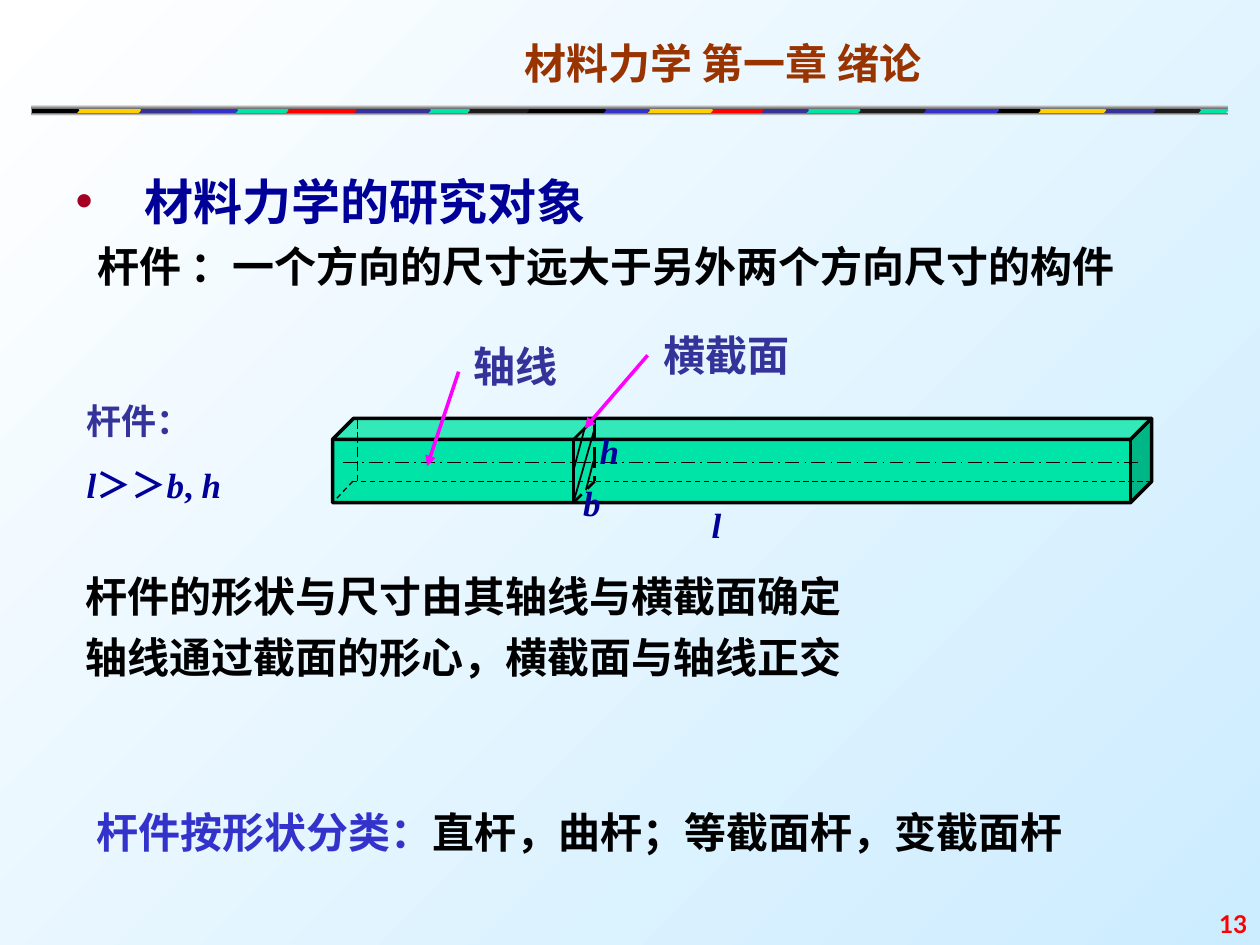
from lxml import etree
from pptx import Presentation
from pptx.dml.color import RGBColor
from pptx.enum.dml import MSO_LINE_DASH_STYLE as DASH
from pptx.enum.shapes import MSO_CONNECTOR, MSO_SHAPE
from pptx.enum.text import MSO_ANCHOR, MSO_AUTO_SIZE, PP_ALIGN
from pptx.oxml.ns import qn
from pptx.util import Inches, Pt

rgb = RGBColor.from_string
SANS, SERIF, LATO = "Noto Sans CJK SC", "Times New Roman", "Lato"
NAVY, INDIGO, BLUE, BLACK = "000099", "333399", "3333CC", "000000"
GREEN, YELLOW, RED, CHARCOAL = "00E4A8", "FFCF01", "FF0000", "1C1C1C"
MAGENTA = "FF00FF"


def write(shape, box, paragraphs, size, font, before=0, align=PP_ALIGN.LEFT,
          anchor=MSO_ANCHOR.TOP, wrap=True):
    """Place a text shape; a paragraph is a list of (text, colour, italic)."""
    shape.left, shape.top, shape.width, shape.height = map(Inches, box)
    frame = shape.text_frame
    frame.word_wrap = wrap
    frame.auto_size = MSO_AUTO_SIZE.NONE
    frame.vertical_anchor = anchor
    for index, runs in enumerate(paragraphs):
        paragraph = frame.add_paragraph() if index else frame.paragraphs[0]
        paragraph.alignment = align
        paragraph.line_spacing = 1.0
        paragraph.space_before = Pt(before if index else 0)
        for text, colour, italic in runs:
            run = paragraph.add_run()
            run.text = text
            run.font.size, run.font.name = Pt(size), font
            run.font.bold, run.font.italic = True, italic
            run.font.color.rgb = rgb(colour)
            east_asian = etree.SubElement(run.font._element, qn("a:ea"))
            east_asian.set("typeface", SANS)
    return frame


def draw_line(start, end, width, colour=BLACK, dash=None, arrow=False):
    line = slide.shapes.add_connector(
        MSO_CONNECTOR.STRAIGHT, *map(Inches, start + end))
    line.line.width = Pt(width)
    line.line.color.rgb = rgb(colour)
    if dash:
        line.line.dash_style = dash
    if arrow:
        tail = etree.SubElement(line.line._get_or_add_ln(), qn("a:tailEnd"))
        tail.set("type", "triangle")
    etree.SubElement(line._element.spPr, qn("a:effectLst"))


presentation = Presentation()
presentation.slide_width, presentation.slide_height = Inches(10), Inches(7.5)
slide = presentation.slides.add_slide(presentation.slide_layouts[1])

# Background
background = slide.background.fill
background.gradient()
background.gradient_angle = 315
for stop, colour in zip(background.gradient_stops, ("FFFFFF", "CCECFF")):
    stop.color.rgb = rgb(colour)

# Coloured band: right end and colour of each segment
segments = [
    (0.63, BLACK), (1.12, YELLOW), (1.53, INDIGO), (1.89, BLUE),
    (2.29, GREEN), (2.83, RED), (3.42, INDIGO), (3.73, GREEN),
    (4.2, CHARCOAL), (4.81, BLACK), (5.16, BLUE), (5.66, YELLOW),
    (6.06, RED), (6.42, INDIGO), (6.83, GREEN), (7.35, CHARCOAL),
    (7.93, BLUE), (8.26, BLACK), (8.78, YELLOW), (9.17, INDIGO),
    (9.53, CHARCOAL), (9.75, GREEN),
]
starts = [0.25] + [end for end, _ in segments[:-1]]
top, bottom, bulge = 0.84, 0.91, 0.03
for left, (right, colour) in reversed(list(zip(starts, segments))):
    left = max(0.25, left - bulge)
    builder = slide.shapes.build_freeform(Inches(left), Inches(top))
    corners = [(right - bulge, top), (right, (top + bottom) / 2),
               (right - bulge, bottom), (left, bottom)]
    builder.add_line_segments([(Inches(x), Inches(y)) for x, y in corners])
    segment = builder.convert_to_shape()
    segment.shadow.inherit = False
    segment.fill.solid()
    segment.fill.fore_color.rgb = rgb(colour)
    segment.line.fill.background()

# Shaded edges of the band
for y, height, colours in ((0.83, 0.03, ("FFFFFF", "767676")),
                           (0.9, 0.02, ("767676", "FFFFFF"))):
    edge = slide.shapes.add_shape(
        MSO_SHAPE.RECTANGLE, Inches(0.25), Inches(y), Inches(9.5), Inches(height))
    edge.shadow.inherit = False
    edge.line.fill.background()
    edge.fill.gradient()
    edge.fill.gradient_angle = 270
    for stop, colour in zip(edge.fill.gradient_stops, colours):
        stop.color.rgb = rgb(colour)

# Title
write(slide.shapes.title, (4.06, 0.25, 3.86, 0.5),
      [[("材料力学 第一章 绪论", "993300", False)]], 24, SANS, wrap=False)

# Topic and definition
body = write(slide.placeholders[1], (0.5, 1.31, 8.98, 1.18),
             [[("材料力学的研究对象", NAVY, False)],
              [("杆件 ：一个方向的尺寸远大于另外两个方向尺寸的构件", BLACK, False)]],
             24, SANS, before=6)
topic, definition = body.paragraphs
topic.runs[0].font.size = Pt(28)
for paragraph, margin, indent in ((topic, 0.55, -0.55), (definition, 0.17, 0)):
    properties = paragraph._p.get_or_add_pPr()
    properties.set("marL", str(Inches(margin)))
    properties.set("indent", str(Inches(indent)))
bullet_colour = etree.SubElement(topic._p.pPr, qn("a:buClr"))
etree.SubElement(bullet_colour, qn("a:srgbClr")).set("val", "A50021")
etree.SubElement(topic._p.pPr, qn("a:buChar")).set("char", "•")
etree.SubElement(definition._p.pPr, qn("a:buNone"))

# Bar
bar = slide.shapes.add_shape(
    MSO_SHAPE.CUBE, Inches(2.64), Inches(3.32), Inches(6.5), Inches(0.67))
bar.adjustments[0] = 0.25
bar.shadow.inherit = False
bar.fill.solid()
bar.fill.fore_color.rgb = rgb(GREEN)
bar.line.color.rgb = rgb(BLACK)
bar.line.width = Pt(2)

# Hidden edges, cross-section with hatching, and axis
for start, end, width, dash in (
    ((4.72, 3.32), (4.72, 3.82), 1.5, DASH.LONG_DASH),
    ((9.14, 3.82), (2.8, 3.82), 0.75, DASH.DASH),
    ((4.72, 3.82), (4.55, 3.99), 1.5, DASH.DASH),
    ((2.84, 3.32), (2.84, 3.82), 0.75, DASH.LONG_DASH),
    ((2.8, 3.82), (2.64, 3.99), 0.75, DASH.DASH),
    ((4.72, 3.32), (4.55, 3.49), 1.5, None),
    ((4.55, 3.49), (4.55, 3.99), 1.5, None),
    ((2.72, 3.67), (9.05, 3.67), 1, DASH.LONG_DASH_DOT),
    ((4.64, 3.4), (4.55, 3.74), 1, None),
    ((4.72, 3.4), (4.55, 3.99), 1, None),
    ((4.71, 3.66), (4.65, 3.89), 1, None),
):
    draw_line(start, end, width, dash=dash)

# Pointers to the axis and the cross-section
draw_line((3.64, 2.95), (3.39, 3.7), 2, MAGENTA, arrow=True)
draw_line((5.14, 2.82), (4.64, 3.4), 2, MAGENTA, arrow=True)

# Labels and remaining text
condition = [[("杆件：", INDIGO, False)],
             [("l", NAVY, True), ("＞＞", NAVY, False), ("b", NAVY, True),
              (", ", NAVY, False), ("h", NAVY, True)]]
conclusions = [[("杆件的形状与尺寸由其轴线与横截面确定", BLACK, False)],
               [("轴线通过截面的形心，横截面与轴线正交", BLACK, False)]]
classes = [[("杆件按形状分类：", BLUE, False),
            ("直杆，曲杆；等截面杆，变截面杆", BLACK, False)]]
left, center, right = PP_ALIGN.LEFT, PP_ALIGN.CENTER, PP_ALIGN.RIGHT
for box, paragraphs, size, font, before, align in (
    ((0.59, 3.12, 1.9, 0.94), condition, 20, SERIF, 12.5, left),
    ((3.55, 2.65, 1.08, 0.5), [[("轴线", INDIGO, False)]], 24, SERIF, 0, center),
    ((4.89, 2.57, 1.75, 0.5), [[("横截面", INDIGO, False)]], 24, SERIF, 0, center),
    ((5.55, 3.95, 0.39, 0.44), [[("l", NAVY, True)]], 20, SERIF, 0, left),
    ((4.53, 3.77, 0.39, 0.44), [[("b", NAVY, True)]], 20, SERIF, 0, left),
    ((4.66, 3.36, 0.39, 0.44), [[("h", NAVY, True)]], 20, SERIF, 0, left),
    ((0.67, 6.35, 8.43, 0.5), classes, 24, LATO, 0, left),
    ((0.58, 4.48, 8.98, 1.02), conclusions, 24, SANS, 6, left),
):
    write(slide.shapes.add_textbox(0, 0, 0, 0), box, paragraphs, size, font,
          before, align)

# Slide number
write(slide.shapes.add_textbox(0, 0, 0, 0), (9.33, 7, 0.67, 0.5),
      [[("13", RED, False)]], 14, LATO, align=right, anchor=MSO_ANCHOR.BOTTOM)

presentation.save("out.pptx")
